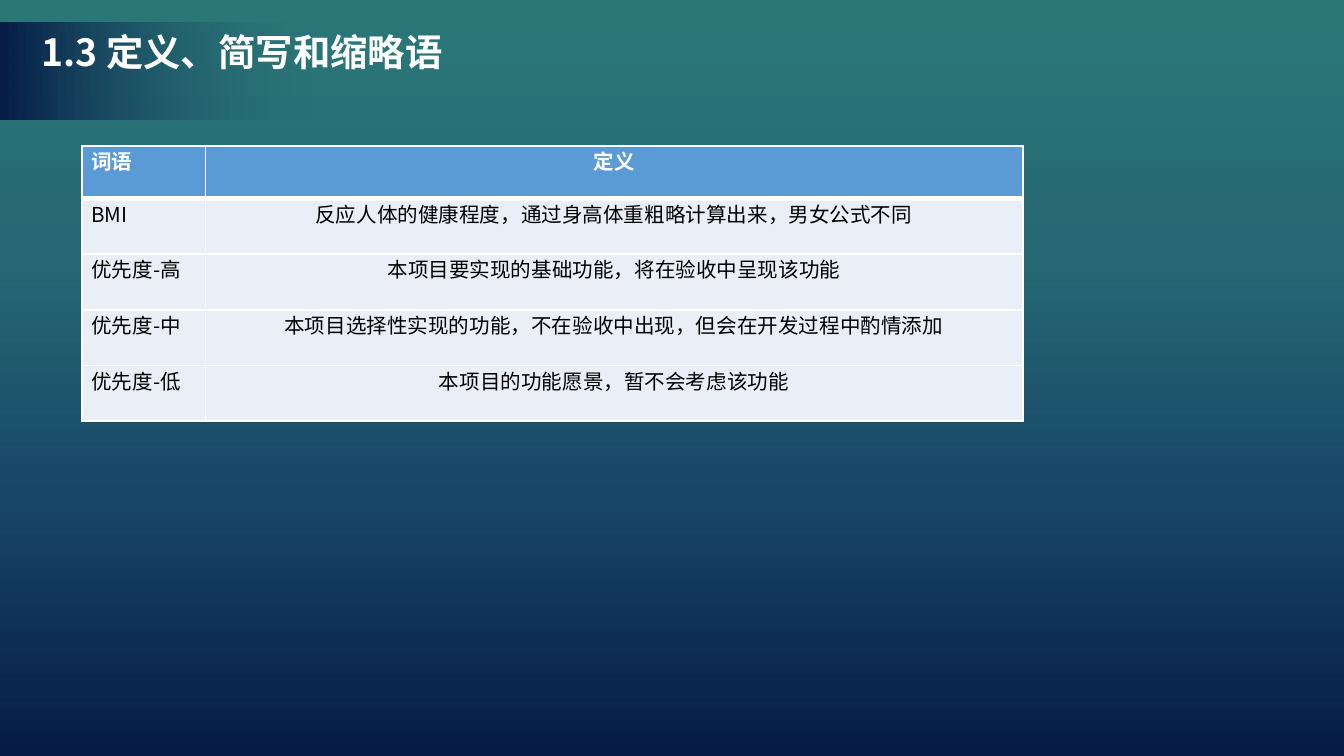
from dataclasses import dataclass
from lxml.etree import SubElement as Sub
from pptx import Presentation
from pptx.dml.color import RGBColor as Rgb
from pptx.enum.shapes import MSO_SHAPE as Kind
from pptx.enum.text import PP_ALIGN as Align
from pptx.oxml.ns import qn
from pptx.util import Inches, Pt


@dataclass(frozen=True)
class Theme:
    font: str = "Noto Sans CJK SC"
    white: str = "FFFFFF"
    black: str = "000000"
    head: str = "5B9BD5"
    body: str = "EAEFF7"
    sky: tuple = ((0, "2B7777", 100), (34, "266874", 100),
                  (66, "184667", 100), (100, "061B46", 100))
    band: tuple = ((0, "071C47", 100), (100, "266874", 0))
    title: int = 20
    text: int = 11
    thin: int = 1
    thick: int = 3


class Deck:
    def __init__(self, theme, wide, high, unit):
        self.theme, self.unit = theme, unit
        self.file = Presentation()
        self.file.slide_width = Inches(wide)
        self.file.slide_height = Inches(high)
        self.slide = self.file.slides.add_slide(self.file.slide_layouts[6])

    def size(self, *cells):
        return [Inches(cell * self.unit) for cell in cells]

    def blend(self, fill, root, stops, angle):
        fill.gradient()
        grad = next(root.iter(qn("a:gradFill")))
        grad.find(qn("a:lin")).set("ang", str(angle * 60000))
        group = grad.find(qn("a:gsLst"))
        group.clear()
        for place, tint, alpha in stops:
            stop = Sub(group, qn("a:gs"), pos=str(place * 1000))
            color = Sub(stop, qn("a:srgbClr"), val=tint)
            if alpha < 100:
                Sub(color, qn("a:alpha"), val=str(alpha * 1000))

    def back(self, stops):
        fill = self.slide.background.fill
        self.blend(fill, self.slide.element, stops, 90)

    def band(self, box, stops):
        shape = self.slide.shapes.add_shape(Kind.RECTANGLE, *self.size(*box))
        shape.shadow.inherit = False
        shape.line.fill.background()
        self.blend(shape.fill, shape.element, stops, 0)

    def run(self, para, text, size, tint, bold):
        run = para.add_run()
        run.text = text
        font = run.font
        font.name, font.size, font.bold = self.theme.font, Pt(size), bold
        font.color.rgb = Rgb.from_string(tint)
        Sub(run._r.rPr, qn("a:ea"), typeface=self.theme.font)

    def title(self, box, text):
        frame = self.slide.shapes.add_textbox(*self.size(*box)).text_frame
        frame.word_wrap = True
        look = self.theme
        self.run(frame.paragraphs[0], text, look.title, look.white, True)

    def edge(self, cell, **sides):
        props = cell._tc.get_or_add_tcPr()
        for spot, (side, width) in enumerate(sides.items()):
            line = props.makeelement(qn(f"a:ln{side}"), {"w": str(Pt(width))})
            solid = Sub(line, qn("a:solidFill"))
            Sub(solid, qn("a:srgbClr"), val=self.theme.white)
            props.insert(spot, line)

    def table(self, spot, cols, rows, data):
        look = self.theme
        box = self.size(*spot, sum(cols), sum(rows))
        table = self.slide.shapes.add_table(len(rows), len(cols), *box).table
        for col, wide in zip(table.columns, self.size(*cols)):
            col.width = wide
        for row, high in zip(table.rows, self.size(*rows)):
            row.height = high
        for y, line in enumerate(data):
            top = y == 0
            for x, text in enumerate(line):
                cell = table.cell(y, x)
                cell.margin_left = cell.margin_right = Inches(0.07)
                cell.margin_top = cell.margin_bottom = 0
                cell.fill.solid()
                cell.fill.fore_color.rgb = Rgb.from_string(
                    look.head if top else look.body)
                self.edge(cell, L=look.thin, R=look.thin,
                          T=look.thick if y == 1 else look.thin,
                          B=look.thick if top else look.thin)
                para = cell.text_frame.paragraphs[0]
                para.alignment = Align.CENTER if x else Align.JUSTIFY
                self.run(para, text, look.text,
                         look.white if top else look.black, top)

    def save(self):
        self.file.save("out.pptx")


def main():
    theme = Theme()
    deck = Deck(theme, 10, 10 * 9 / 16, 0.1)
    deck.back(theme.sky)
    deck.band((0, 1.7, 23.2, 7.2), theme.band)
    deck.title((2.1, 1.7, 32.4, 4.4), "1.3 定义、简写和缩略语")
    deck.table((6.1, 10.85), (9.2, 60.8), (3.9,) + (4.15,) * 4, (
        ("词语", "定义"),
        ("BMI", "反应人体的健康程度，通过身高体重粗略计算出来，男女公式不同"),
        ("优先度-高", "本项目要实现的基础功能，将在验收中呈现该功能"),
        ("优先度-中", "本项目选择性实现的功能，不在验收中出现，但会在开发过程中酌情添加"),
        ("优先度-低", "本项目的功能愿景，暂不会考虑该功能"),
    ))
    deck.save()


if __name__ == "__main__":
    main()
